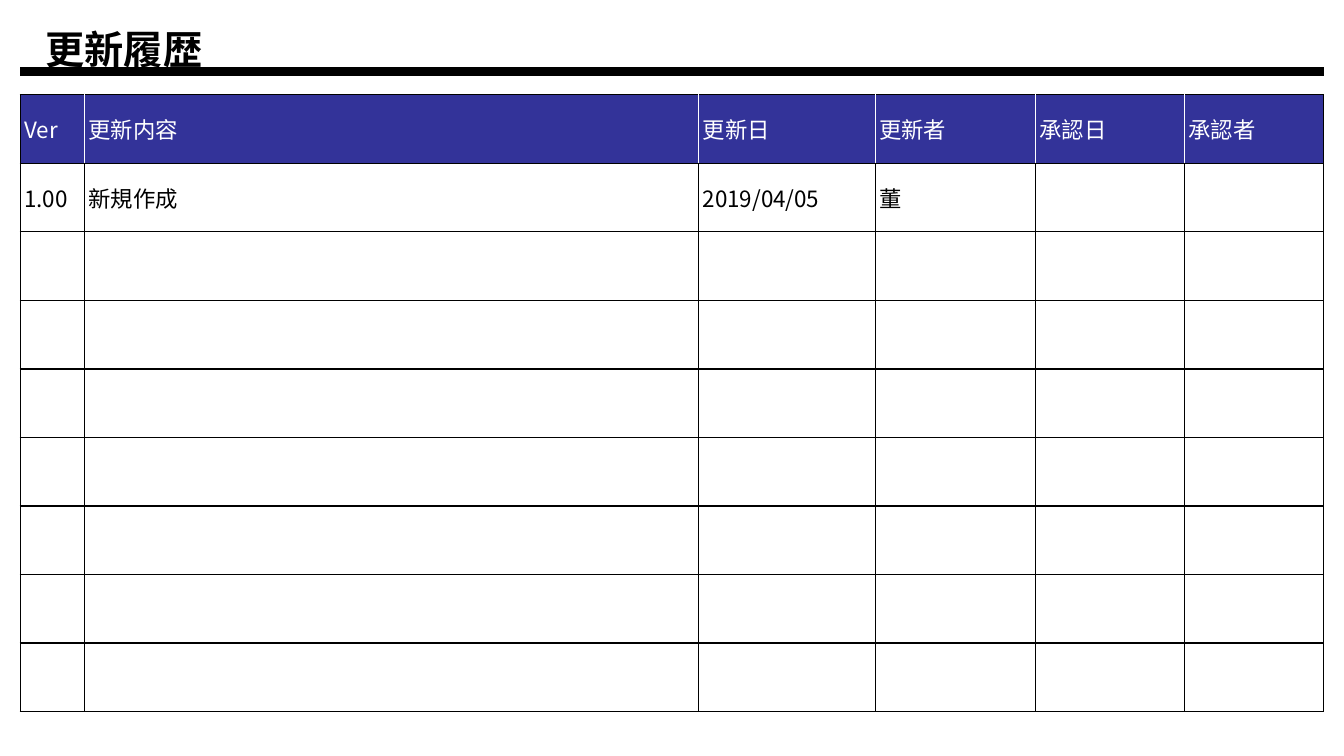
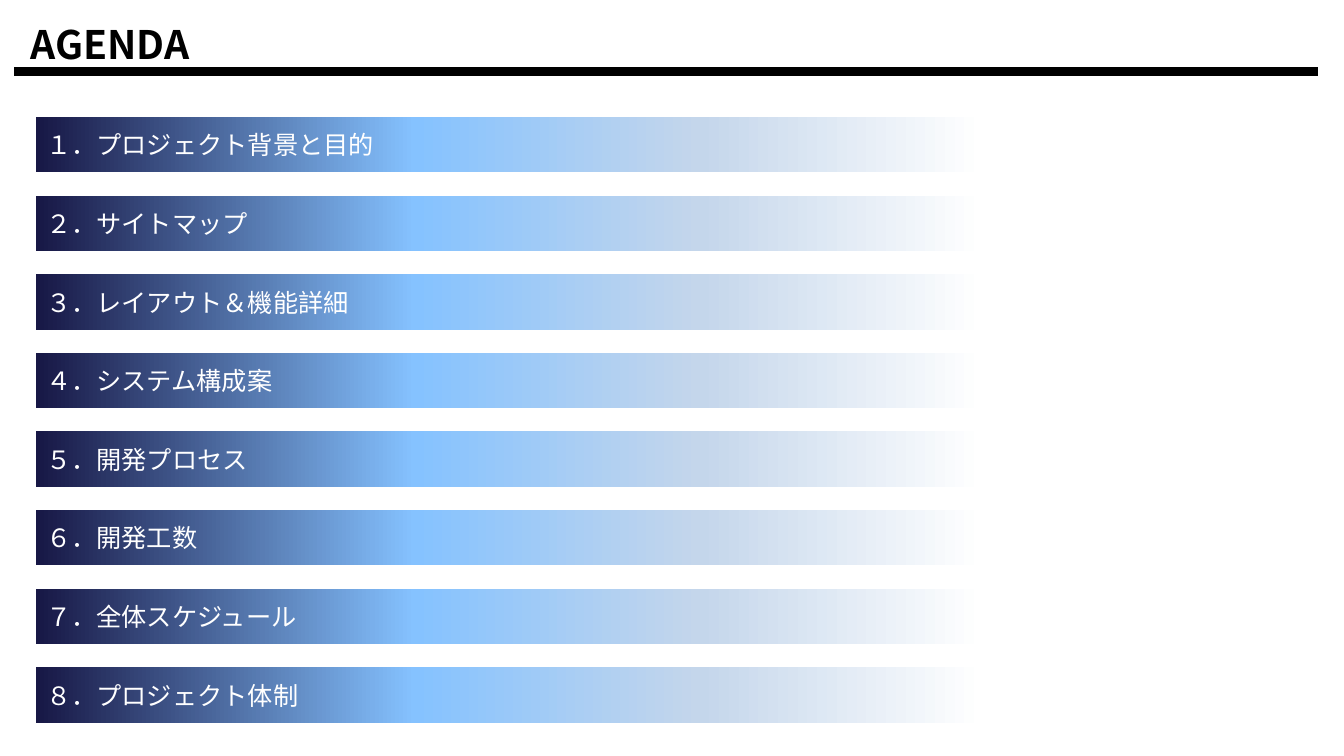
from pptx import Presentation
from pptx.dml.color import RGBColor
from pptx.enum.shapes import MSO_CONNECTOR, MSO_SHAPE
from pptx.enum.text import MSO_ANCHOR, MSO_AUTO_SIZE, PP_ALIGN
from pptx.oxml import parse_xml
from pptx.oxml.ns import nsdecls, qn
from pptx.util import Inches, Pt
from lxml.etree import SubElement

THEME = {
    "black": "000000",
    "white": "FFFFFF",
    "header": "333399",
    "gradient": [(0, "171745"), (40, "85C2FF"), (70, "C4D6EB"), (100, "FFFFFF")],
    "title": {"size": Pt(28), "bold": True, "name": "Noto Sans CJK SC"},
    "table": {"size": Pt(16), "bold": False, "name": "Noto Sans CJK SC"},
    "agenda": {"size": Pt(18), "bold": False, "name": "Noto Sans CJK JP"},
    "rule": Pt(6),
    "border": Pt(1),
}


def write(frame, text, style, color, frame_format, para_format):
    for name, value in frame_format.items():
        setattr(frame, name, value)
    para = frame.paragraphs[0]
    for name, value in para_format.items():
        setattr(para, name, value)
    span = para.add_run()
    span.text = text
    for name, value in THEME[style].items():
        setattr(span.font, name, value)
    span.font.color.rgb = RGBColor.from_string(THEME[color])
    SubElement(span.font._element, qn("a:ea"), typeface=THEME[style]["name"])


def add_page(heading, title_left, title_top, rule_left):
    page = deck.slides.add_slide(deck.slide_layouts[5])
    title = page.shapes.title
    place = {"left": title_left, "top": title_top, "width": 2.06, "height": 0.54}
    for name, value in place.items():
        setattr(title, name, Inches(value))
    write(title.text_frame, heading, "title", "black",
          {"vertical_anchor": MSO_ANCHOR.TOP, "auto_size": MSO_AUTO_SIZE.NONE, "word_wrap": True},
          {"alignment": PP_ALIGN.CENTER})
    rule = page.shapes.add_connector(
        MSO_CONNECTOR.STRAIGHT, Inches(rule_left), Inches(0.71),
        Inches(rule_left + content_width), Inches(0.71))
    rule.line.width = THEME["rule"]
    rule.line.color.rgb = RGBColor.from_string(THEME["black"])
    SubElement(rule._element.spPr, qn("a:effectLst"))
    return page


deck = Presentation()
deck.slide_width, deck.slide_height = Inches(13.33), Inches(7.5)

column_widths = [0.64, 6.09, 1.75, 1.59, 1.48, 1.38]
content_width = sum(column_widths)
row_count, row_height = 9, 0.68
history = [
    ["Ver", "更新内容", "更新日", "更新者", "承認日", "承認者"],
    ["1.00", "新規作成", "2019/04/05", "董", "", ""],
]
history += [[""] * len(column_widths)] * (row_count - len(history))

page = add_page("更新履歴", 0.2, 0.2, 0.2)
table = page.shapes.add_table(
    row_count, len(column_widths), Inches(0.2), Inches(0.94),
    Inches(content_width), Inches(row_count * row_height)).table
table.first_row = table.horz_banding = False
for column, width in zip(table.columns, column_widths):
    column.width = Inches(width)
cell_margins = {"margin_left": 0.04, "margin_right": 0.04, "margin_top": 0.05, "margin_bottom": 0.05}
last_column = len(column_widths) - 1

for row_index, texts in enumerate(history):
    table.rows[row_index].height = Inches(row_height)
    is_header = row_index == 0
    for column_index, text in enumerate(texts):
        cell = table.cell(row_index, column_index)
        cell.vertical_anchor = MSO_ANCHOR.MIDDLE
        for name, value in cell_margins.items():
            setattr(cell, name, Inches(value))
        borders = {
            "L": "white" if is_header and column_index > 0 else "black",
            "R": "white" if is_header and column_index < last_column else "black",
            "T": "black",
            "B": "black",
        }
        for side, color in borders.items():
            edge = SubElement(cell._tc.get_or_add_tcPr(), qn("a:ln" + side), w=str(THEME["border"]))
            SubElement(SubElement(edge, qn("a:solidFill")), qn("a:srgbClr"), val=THEME[color])
        cell.fill.solid()
        cell.fill.fore_color.rgb = RGBColor.from_string(THEME["header" if is_header else "white"])
        if text:
            write(cell.text_frame, text, "table", "white" if is_header else "black",
                  {}, {"space_before": Pt(3.2)})

page = add_page("AGENDA", 0.06, 0.15, 0.14)
agenda = [
    "１．プロジェクト背景と目的",
    "２．サイトマップ",
    "３．レイアウト＆機能詳細",
    "４．システム構成案",
    "５．開発プロセス",
    "６．開発工数",
    "７．全体スケジュール",
    "８．プロジェクト体制",
]
first_top, bar_pitch = 1.16, 0.78
stops = "".join(
    f'<a:gs pos="{share * 1000}"><a:srgbClr val="{color}"/></a:gs>'
    for share, color in THEME["gradient"])
for index, topic in enumerate(agenda):
    bar = page.shapes.add_shape(
        MSO_SHAPE.RECTANGLE, Inches(0.36), Inches(first_top + index * bar_pitch),
        Inches(9.4), Inches(0.55))
    bar.shadow.inherit = False
    bar.line.fill.background()
    bar._element.spPr.find(qn("a:prstGeom")).addnext(parse_xml(
        f'<a:gradFill {nsdecls("a")} rotWithShape="1"><a:gsLst>{stops}</a:gsLst>'
        '<a:lin ang="0" scaled="0"/></a:gradFill>'))
    write(bar.text_frame, topic, "agenda", "white",
          {"vertical_anchor": MSO_ANCHOR.MIDDLE, "word_wrap": True},
          {"alignment": PP_ALIGN.LEFT})

deck.save("out.pptx")
